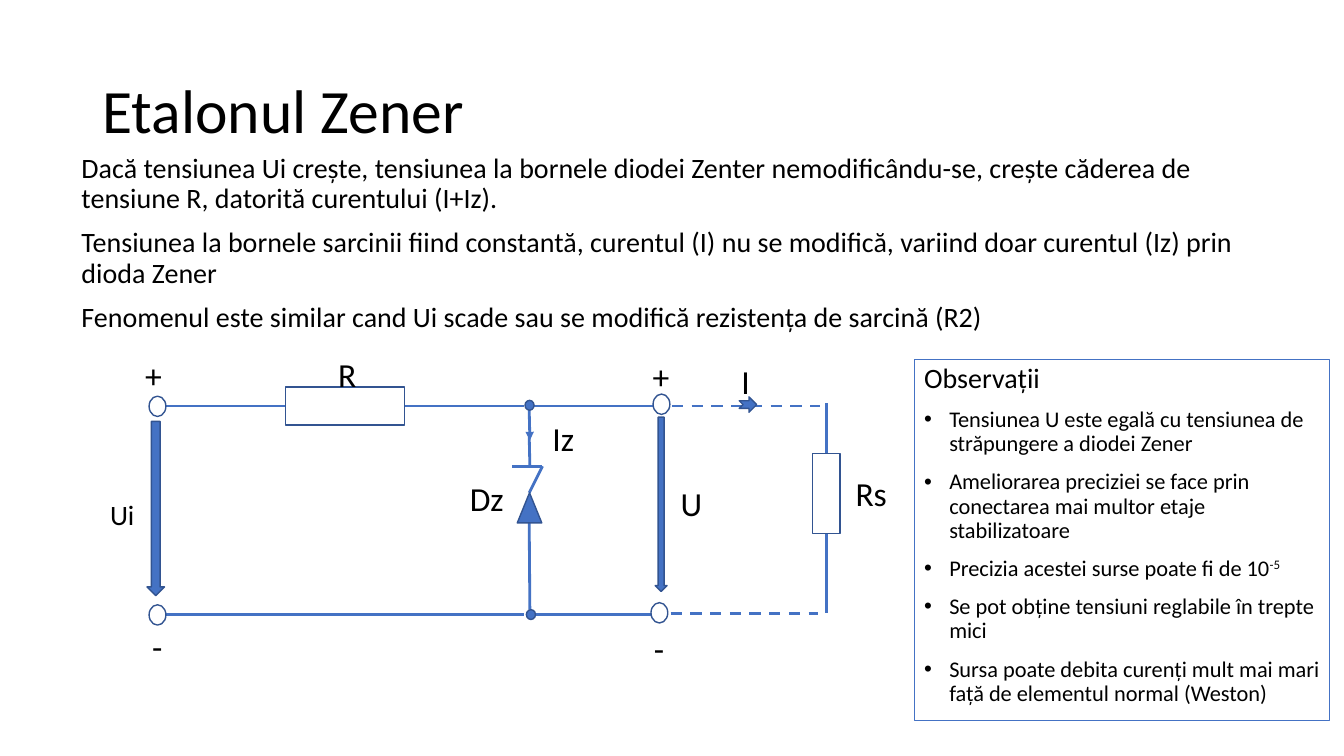
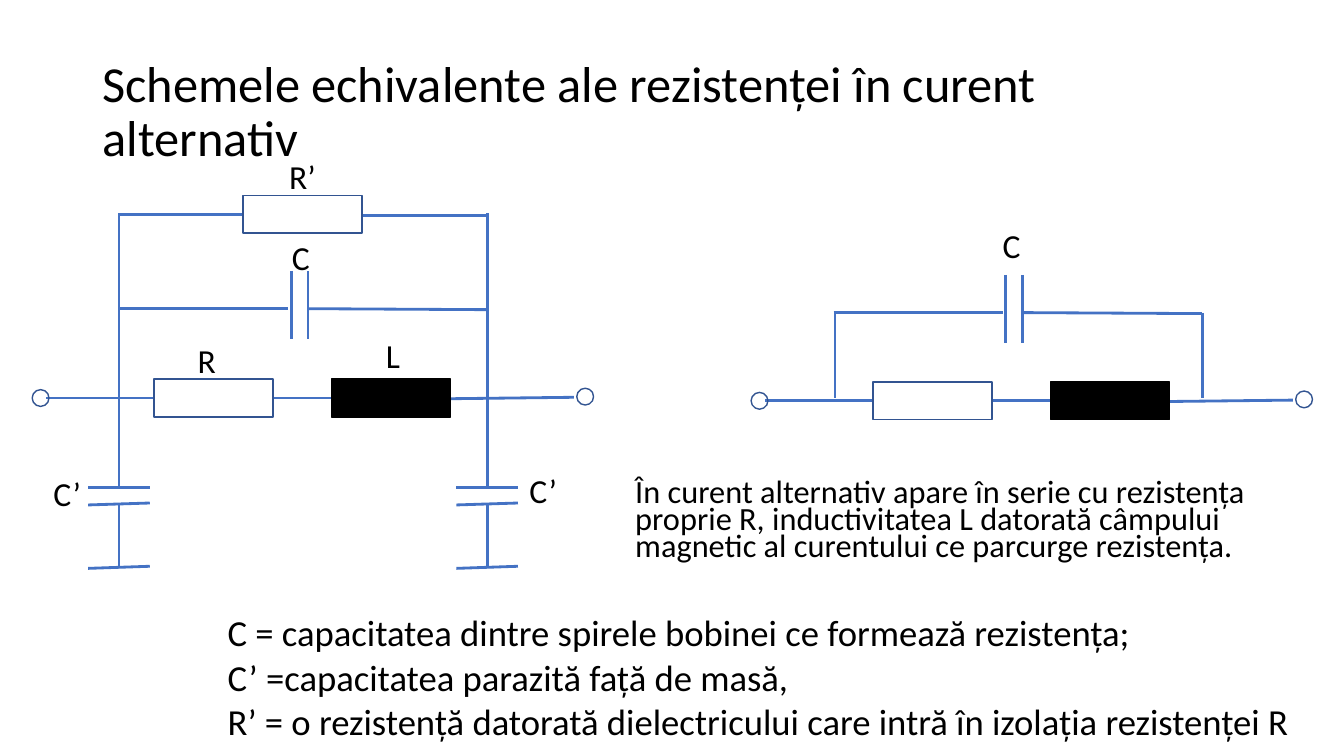
from dataclasses import dataclass
from typing import Optional

from lxml.etree import SubElement
from pptx import Presentation
from pptx.dml.color import RGBColor
from pptx.enum.dml import MSO_LINE
from pptx.enum.shapes import MSO_CONNECTOR, MSO_SHAPE as Sh
from pptx.enum.text import MSO_ANCHOR, MSO_AUTO_SIZE, PP_ALIGN
from pptx.oxml.ns import qn
from pptx.util import Pt

COLORS = {"wire": "4472C4", "edge": "325491", "text": "000000", "coil": "000000"}
FONT = "Calibri"
BOX_W, BOX_H = 85, 27


@dataclass(frozen=True)
class Wire:
    x1: float
    y1: float
    x2: float
    y2: float
    dashed: bool = False
    arrow: bool = False


@dataclass(frozen=True)
class Part:
    kind: Sh
    x: float
    y: float
    w: float
    h: float
    fill: Optional[str] = None
    edge: str = "edge"


@dataclass(frozen=True)
class Label:
    text: str
    x: float
    y: float
    size: float = 24


@dataclass(frozen=True)
class Para:
    text: str
    size: float
    spacing: float = 0.9
    before: float = 10
    bullet: bool = False
    sup: str = ""


def rgb(name: str) -> RGBColor:
    return RGBColor.from_string(COLORS[name])


def draw_wire(s, wire: Wire) -> None:
    ends = [Pt(v) for v in (wire.x1, wire.y1, wire.x2, wire.y2)]
    cx = s.shapes.add_connector(MSO_CONNECTOR.STRAIGHT, *ends)
    cx.line.color.rgb = rgb("wire")
    cx.line.width = Pt(2)
    if wire.dashed:
        cx.line.dash_style = MSO_LINE.DASH
    if wire.arrow:
        SubElement(cx.line._get_or_add_ln(), qn("a:tailEnd"), type="triangle")
    SubElement(cx._element.spPr, qn("a:effectLst"))


def draw_part(s, part: Part) -> None:
    sp = s.shapes.add_shape(part.kind, Pt(part.x), Pt(part.y), Pt(part.w), Pt(part.h))
    sp.shadow.inherit = False
    if part.fill:
        sp.fill.solid()
        sp.fill.fore_color.rgb = rgb(part.fill)
    else:
        sp.fill.background()
    sp.line.color.rgb = rgb(part.edge)
    sp.line.width = Pt(1)


def add_run(p, text: str, size: float):
    r = p.add_run()
    r.text = text
    r.font.name = FONT
    r.font.size = Pt(size)
    r.font.color.rgb = rgb("text")
    return r


def fill_text(tf, paras: list[Para], anchor=MSO_ANCHOR.TOP) -> None:
    tf.word_wrap = True
    tf.auto_size = MSO_AUTO_SIZE.NONE
    tf.vertical_anchor = anchor
    for i, para in enumerate(paras):
        p = tf.paragraphs[0] if i == 0 else tf.add_paragraph()
        p.alignment = PP_ALIGN.LEFT
        p.line_spacing = para.spacing
        p.space_before = Pt(para.before)
        pPr = p._p.get_or_add_pPr()
        indent = Pt(18) if para.bullet else 0
        pPr.set("marL", str(indent))
        pPr.set("indent", str(-indent))
        if para.bullet:
            SubElement(pPr, qn("a:buFont"), typeface="Arial")
            SubElement(pPr, qn("a:buChar"), char="•")
        else:
            SubElement(pPr, qn("a:buNone"))
        add_run(p, para.text, para.size)
        if para.sup:
            r = add_run(p, para.sup, para.size)
            r.font._element.set("baseline", "30000")


def place(sp, x: float, y: float, w: float, h: float) -> None:
    sp.left, sp.top, sp.width, sp.height = Pt(x), Pt(y), Pt(w), Pt(h)


def add_text(s, x: float, y: float, w: float, h: float, paras: list[Para]):
    sp = s.shapes.add_textbox(Pt(x), Pt(y), Pt(w), Pt(h))
    fill_text(sp.text_frame, paras)
    return sp


def draw_label(s, label: Label) -> None:
    add_text(s, label.x, label.y, 60, 36, [Para(label.text, label.size, 1, 0)])


def draw_all(s, wires: list[Wire], parts: list[Part], labels: list[Label]) -> None:
    for wire in wires:
        draw_wire(s, wire)
    for part in parts:
        draw_part(s, part)
    for label in labels:
        draw_label(s, label)


def new_slide(prs, title: str, size: float, area: tuple, body: list[Para]):
    s = prs.slides.add_slide(prs.slide_layouts[1])
    place(s.shapes.title, 66, 29, 828, 104)
    fill_text(s.shapes.title.text_frame, [Para(title, size, before=0)], MSO_ANCHOR.MIDDLE)
    place(s.placeholders[1], *area)
    fill_text(s.placeholders[1].text_frame, body)
    return s


def series_branch(s, x: float, y: float) -> None:
    top = y - BOX_H / 2
    draw_all(
        s,
        [
            Wire(x + 10, y, x + 87, y),
            Wire(x + 172, y, x + 214, y),
            Wire(x + 299, y + 0.5, x + 387, y - 0.5),
        ],
        [
            Part(Sh.FLOWCHART_CONNECTOR, x, y - 6, 12, 12),
            Part(Sh.RECTANGLE, x + 87, top, BOX_W, BOX_H),
            Part(Sh.RECTANGLE, x + 214, top, BOX_W, BOX_H, "coil", "coil"),
            Part(Sh.FLOWCHART_CONNECTOR, x + 389, y - 7, 12, 12),
        ],
        [],
    )


def capacitor_branch(s, x: float, y: float) -> None:
    plates = [Wire(x + dx, y - 27, x + dx, y + 21.5) for dx in (123, 135)]
    leads = [Wire(x, y, x + 121, y), Wire(x + 135, y, x + 263, y + 0.7)]
    draw_all(s, plates + leads, [], [])


def ground_branch(s, x: float) -> None:
    bars = [(348, 348), (359.3, 360.7), (404.5, 406)]
    wires = [Wire(x + 22, y1, x - 22, y2) for y1, y2 in bars]
    draw_all(s, wires + [Wire(x, 360, x, 404.5)], [], [])


def zener_slide(prs) -> None:
    s = new_slide(prs, "Etalonul Zener", 44, (51, 106.5, 868, 147.5), [
        Para("Dacă tensiunea Ui crește, tensiunea la bornele diodei Zenter nemodificându-se, "
             "crește căderea de tensiune R, datorită curentului (I+Iz).", 20),
        Para("Tensiunea la bornele sarcinii fiind constantă, curentul (I) nu se modifică, "
             "variind doar curentul (Iz) prin dioda Zener", 20),
        Para("Fenomenul este similar cand Ui scade sau se modifică rezistența de sarcină (R2)", 20),
    ])
    top, bottom, diode, load = 290, 439, 378, 590.4
    wires = [
        Wire(118, top, 204, top),
        Wire(289, top, 374.5, top),
        Wire(381.5, top, 466.5, top),
        Wire(118, bottom, 374.5, bottom),
        Wire(380, bottom, 465, bottom),
        Wire(diode, 352, 387.5, 333),
        Wire(366, 333.5, 387.5, 333.5),
        Wire(diode, 293, diode + 0.5, 314.5, arrow=True),
        Wire(diode, 311, diode + 0.5, 333),
        Wire(diode, 373.5, diode + 0.5, 435.5),
        Wire(480, top, 585.5, top, dashed=True),
        Wire(479, 438, 584, 438, dashed=True),
        Wire(load, 288, load, 324),
        Wire(load, 381, load, 438),
    ]
    terminals = [(106.5, 283), (106.5, 432), (466.5, 281.5), (465, 430.5)]
    nodes = [(375, 286), (376, 435.5)]
    parts = [Part(Sh.OVAL, x, y, 12, 14.5) for x, y in terminals]
    parts += [Part(Sh.FLOWCHART_CONNECTOR, x, y, 6.5, 7, "wire") for x, y in nodes]
    parts += [
        Part(Sh.RECTANGLE, 204, 276.5, BOX_W, BOX_H),
        Part(Sh.RECTANGLE, 580.5, 324, 19.5, 57),
        Part(Sh.DOWN_ARROW, 105, 301, 12.5, 124.5, "wire"),
        Part(Sh.DOWN_ARROW, 468, 298, 8.5, 124.5, "wire"),
        Part(Sh.ISOSCELES_TRIANGLE, 369.5, 352, 17.5, 21.5, "wire"),
        Part(Sh.NOTCHED_RIGHT_ARROW, 528, 283.5, 12.5, 11, "wire"),
    ]
    labels = [
        Label("+", 96.5, 250),
        Label("+", 459, 250.5),
        Label("-", 101.5, 443.5),
        Label("-", 460, 445),
        Label("R", 234.5, 249),
        Label("Ui", 71.5, 352, 20),
        Label("Iz", 387.5, 295),
        Label("Dz", 328.5, 337.5),
        Label("U", 479, 341.5),
        Label("Rs", 604, 334),
        Label("I", 522.5, 254),
    ]
    draw_all(s, wires, parts, labels)
    notes = add_text(s, 653, 256.5, 297, 258.5, [
        Para("Observații", 20),
        Para("Tensiunea U este egală cu tensiunea de străpungere a diodei Zener", 16, bullet=True),
        Para("Ameliorarea preciziei se face prin conectarea mai multor etaje stabilizatoare",
             16, bullet=True),
        Para("Precizia acestei surse poate fi de 10", 16, bullet=True, sup="-5"),
        Para("Se pot obține tensiuni reglabile în trepte mici", 16, bullet=True),
        Para("Sursa poate debita curenți mult mai mari față de elementul normal (Weston)",
             16, bullet=True),
    ])
    notes.line.color.rgb = rgb("wire")
    notes.line.width = Pt(0.75)


def equivalent_slide(prs) -> None:
    title = "Schemele echivalente ale rezistenței în curent alternativ"
    s = new_slide(prs, title, 36, (446.5, 340.5, 499.5, 77), [
        Para("În curent alternativ apare în serie cu rezistența proprie R, inductivitatea L "
             "datorată câmpului magnetic al curentului ce parcurge rezistența.", 23.1, 0.7),
    ])
    left, right = 85, 348
    for x, y in ((23, 284.3), (536.5, 286.3)):
        series_branch(s, x, y)
    for x, y in ((left, 220.5), (595.5, 223.3)):
        capacitor_branch(s, x, y)
    for x in (left, right):
        ground_branch(s, x)
    wires = [Wire(x, 152.5, x, 347.5) for x in (left, right)]
    wires += [Wire(x, 223.5, x, 284.5) for x in (596.5, 859)]
    wires += [Wire(left, 153, 173.5, 153), Wire(258.5, 154, right, 154)]
    labels = [
        Label("R’", 199.5, 108),
        Label("C", 201.5, 165.5),
        Label("R", 134, 239),
        Label("L", 268.5, 236),
        Label("C’", 31, 334),
        Label("C’", 371, 332),
        Label("C", 709, 157),
    ]
    draw_all(s, wires, [Part(Sh.RECTANGLE, 173.5, 139.5, BOX_W, BOX_H)], labels)
    legend = [
        "C = capacitatea dintre spirele bobinei ce formează rezistența;",
        "C’ =capacitatea parazită față de masă,",
        "R’ = o rezistență datorată dielectricului care intră în izolația rezistenței R",
    ]
    add_text(s, 155.5, 440.5, 782.5, 94.5, [Para(line, 26.2, 0.7) for line in legend])


def main() -> None:
    prs = Presentation()
    prs.slide_width, prs.slide_height = Pt(960), Pt(540)
    zener_slide(prs)
    equivalent_slide(prs)
    prs.save("out.pptx")


if __name__ == "__main__":
    main()
